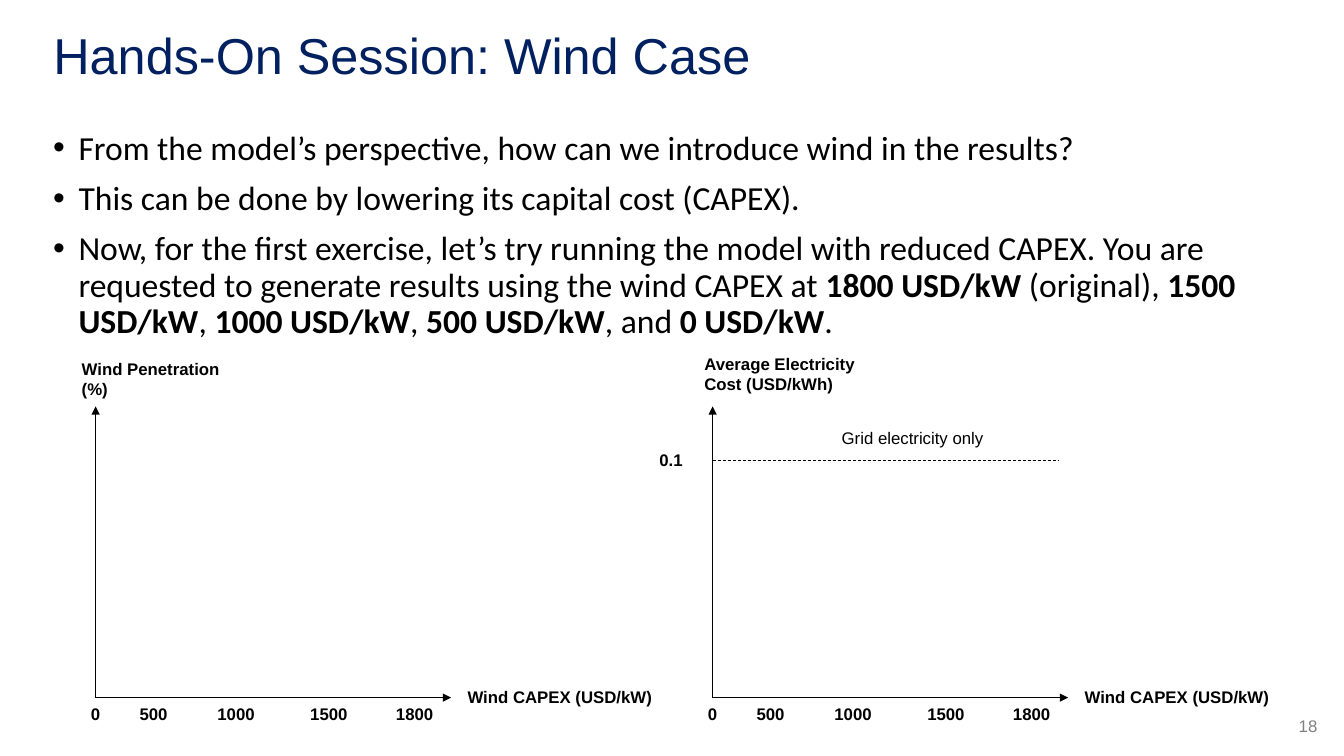
from lxml import etree
from pptx import Presentation
from pptx.dml.color import RGBColor
from pptx.enum.dml import MSO_LINE
from pptx.enum.shapes import MSO_CONNECTOR
from pptx.enum.text import MSO_ANCHOR, MSO_AUTO_SIZE, PP_ALIGN
from pptx.oxml.ns import qn
from pptx.util import Cm, Pt

NAVY = RGBColor(0x00, 0x20, 0x60)
BLACK = RGBColor(0x00, 0x00, 0x00)
GRAY = RGBColor(0x80, 0x80, 0x80)
LEFT, CENTER, RIGHT = PP_ALIGN.LEFT, PP_ALIGN.CENTER, PP_ALIGN.RIGHT
MIDDLE, TOP = MSO_ANCHOR.MIDDLE, MSO_ANCHOR.TOP
NO_AUTOFIT = MSO_AUTO_SIZE.NONE
STRAIGHT = MSO_CONNECTOR.STRAIGHT
DASH = MSO_LINE.DASH

presentation = Presentation()
presentation.slide_width = Cm(33.87)
presentation.slide_height = Cm(19.05)
slide = presentation.slides.add_slide(presentation.slide_layouts[5])


def write_text(shape, box, paragraphs, size, font="Arial", color=BLACK,
               align=LEFT, anchor=MIDDLE, inset=None):
    """Place a text shape and fill it with paragraphs of (text, bold) runs."""
    shape.left, shape.top, shape.width, shape.height = [Cm(value) for value in box]
    frame = shape.text_frame
    frame.word_wrap = True
    frame.auto_size = NO_AUTOFIT
    frame.vertical_anchor = anchor
    if inset is not None:
        frame.margin_left = frame.margin_right = Cm(inset)
        frame.margin_top = frame.margin_bottom = Cm(inset)
    for index, runs in enumerate(paragraphs):
        paragraph = frame.add_paragraph() if index else frame.paragraphs[0]
        paragraph.alignment = align
        for text, bold in runs:
            run = paragraph.add_run()
            run.text = text
            run.font.name = font
            run.font.size = Pt(size)
            run.font.bold = bold
            run.font.color.rgb = color
    return frame


def add_line(start, end, arrow=True):
    """Draw a thin line that ends in an arrowhead or is dashed."""
    line = slide.shapes.add_connector(STRAIGHT, *[Cm(value) for value in start + end])
    line.line.color.rgb = BLACK
    line.line.width = Pt(0.5)
    if arrow:
        etree.SubElement(line.line._get_or_add_ln(), qn("a:tailEnd"), type="triangle")
    else:
        line.line.dash_style = DASH
    etree.SubElement(line._element.spPr, qn("a:effectLst"))


# Title, page number and bullets
title_frame = write_text(slide.shapes.title, (1.09, 0.48, 29.21, 1.98),
                         [[("Hands-On Session: Wind Case", False)]], 36, color=NAVY)
title_frame.paragraphs[0].line_spacing = 0.9

page_number = slide.shapes.add_textbox(0, 0, 0, 0)
write_text(page_number, (32.03, 17.78, 1.42, 1.02), [[("18", False)]], 12,
           color=GRAY, align=RIGHT)

BULLETS = [
    [("From the model’s perspective, how can we introduce wind in the results?", False)],
    [("This can be done by lowering its capital cost (CAPEX).", False)],
    [("Now, for the first exercise, let’s try running the model with reduced CAPEX. "
      "You are requested to generate results using the wind CAPEX at ", False),
     ("1800 USD/kW ", True), ("(original), ", False),
     ("1500 USD/kW", True), (", ", False),
     ("1000 USD/kW", True), (", ", False),
     ("500 USD/kW", True), (", and ", False),
     ("0 USD/kW", True), (".", False)],
]
body = slide.shapes.add_textbox(0, 0, 0, 0)
body_frame = write_text(body, (1.09, 3.18, 31.32, 5.7), BULLETS, 24,
                        font="Calibri", anchor=TOP)
for paragraph in body_frame.paragraphs:
    paragraph.line_spacing = 0.9
    paragraph.space_before = Pt(10)
    properties = paragraph._p.get_or_add_pPr()
    properties.set("marL", str(Cm(0.64)))
    properties.set("indent", str(-Cm(0.64)))
    etree.SubElement(properties, qn("a:buFont"), typeface="Arial")
    etree.SubElement(properties, qn("a:buChar"), char="•")

# Two empty graphs: origin x, heading position and heading lines
AXIS_TOP, AXIS_BOTTOM, AXIS_LENGTH = 10.24, 17.58, 8.96
LABEL_WIDTH, LABEL_HEIGHT = 2.1, 0.91
TICKS = [("0", 0), ("500", 1.46), ("1000", 3.54), ("1500", 5.88), ("1800", 8.04)]
GRAPHS = [
    (2.41, 2.06, 9.12, ["Wind Penetration", "(%)"]),
    (17.96, 17.75, 8.99, ["Average Electricity Cost (USD/kWh)"]),
]
labels = []
for origin, heading_left, heading_top, heading in GRAPHS:
    add_line((origin, AXIS_BOTTOM), (origin, AXIS_TOP))
    add_line((origin, AXIS_BOTTOM), (origin + AXIS_LENGTH, AXIS_BOTTOM))
    labels.append(((heading_left, heading_top, 4.55, 0.86), heading, True, LEFT))
    labels.append(((origin + 9.02, 17.02, 5.36, 1.07),
                   ["Wind CAPEX (USD/kW)"], True, CENTER))
    for tick, offset in TICKS:
        tick_left = origin + offset - LABEL_WIDTH / 2
        labels.append(((tick_left, 17.53, LABEL_WIDTH, LABEL_HEIGHT),
                       [tick], True, CENTER))

# Reference level on the cost graph
cost_origin = GRAPHS[1][0]
GRID_COST_Y = 11.61
add_line((cost_origin, GRID_COST_Y), (cost_origin + 8.71, GRID_COST_Y), arrow=False)
labels.append(((cost_origin - LABEL_WIDTH, 11.13, LABEL_WIDTH, LABEL_HEIGHT),
               ["0.1"], True, CENTER))
labels.append(((19.81, 10.59, 6.38, LABEL_HEIGHT),
               ["Grid electricity only"], False, CENTER))

for box, lines, bold, align in labels:
    label = slide.shapes.add_textbox(0, 0, 0, 0)
    write_text(label, box, [[(line, bold)] for line in lines], 12, align=align, inset=0)

presentation.save("out.pptx")
